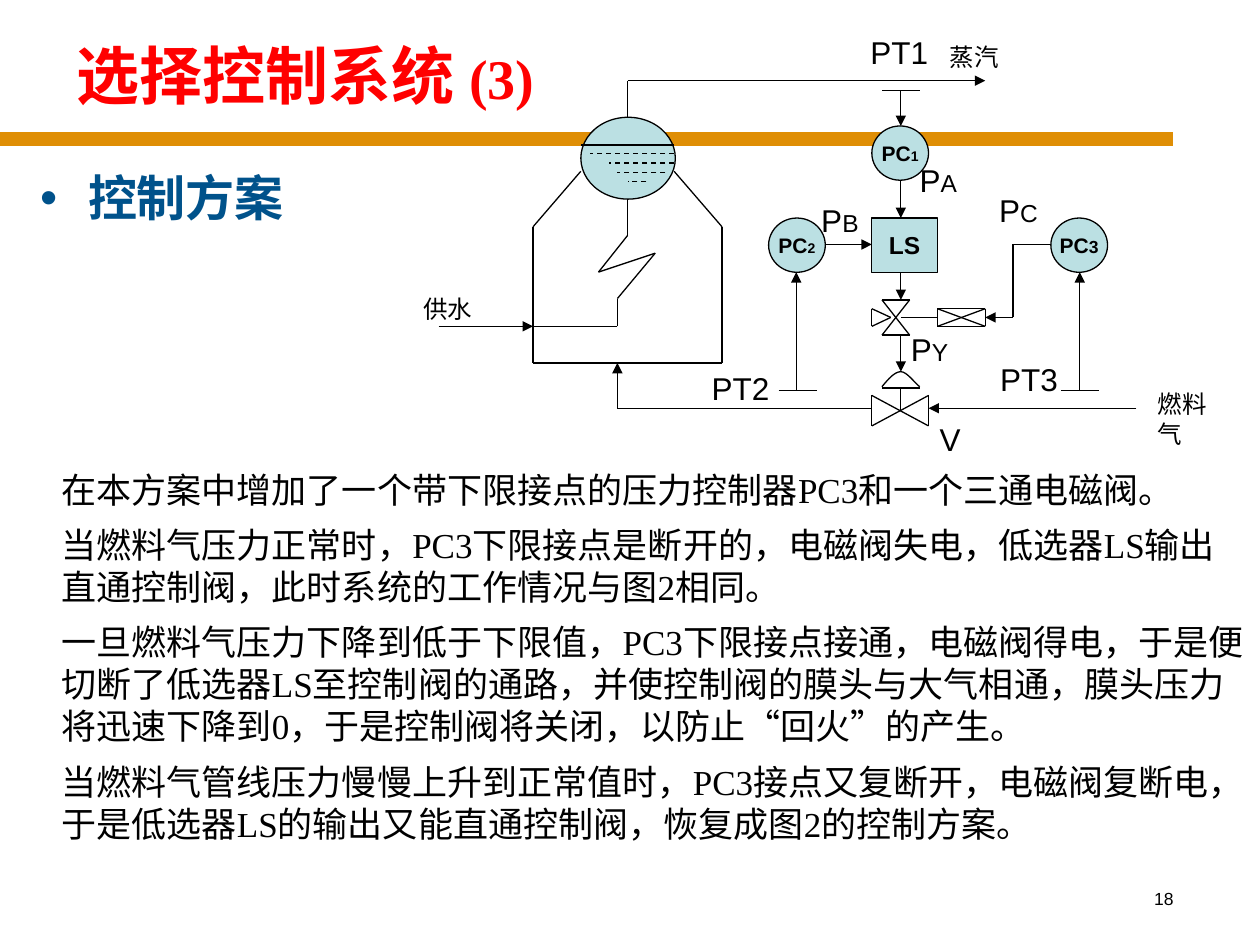
from itertools import pairwise

from lxml.etree import SubElement
from pptx import Presentation
from pptx.dml.color import RGBColor
from pptx.enum.dml import MSO_LINE
from pptx.enum.shapes import MSO_CONNECTOR, MSO_SHAPE
from pptx.enum.text import MSO_ANCHOR, MSO_AUTO_SIZE, PP_ALIGN
from pptx.oxml.ns import qn
from pptx.util import Pt

BLACK = RGBColor(0x00, 0x00, 0x00)
RED = RGBColor(0xFF, 0x00, 0x00)
NAVY = RGBColor(0x00, 0x52, 0x8B)
ORANGE = RGBColor(0xDF, 0x8E, 0x05)
AQUA = RGBColor(0xBB, 0xE0, 0xE3)

EXPLANATION = [
    "在本方案中增加了一个带下限接点的压力控制器PC3和一个三通电磁阀。",
    "当燃料气压力正常时，PC3下限接点是断开的，电磁阀失电，低选器LS输出直通控制阀，此时系统的工作情况与图2相同。",
    "一旦燃料气压力下降到低于下限值，PC3下限接点接通，电磁阀得电，于是便切断了低选器LS至控制阀的通路，"
    "并使控制阀的膜头与大气相通，膜头压力将迅速下降到0，于是控制阀将关闭，以防止“回火”的产生。",
    "当燃料气管线压力慢慢上升到正常值时，PC3接点又复断开，电磁阀复断电，于是低选器LS的输出又能直通控制阀，恢复成图2的控制方案。",
]


def style(font, size, color=BLACK, name="Arial", bold=False):
    """Set the look of a run or paragraph font."""
    font.size, font.name, font.bold = Pt(size), name, bold
    font.color.rgb = color


def add_spans(paragraph, spans, bold=False):
    """Write (text, size) spans into a paragraph."""
    style(paragraph.font, spans[0][1], bold=bold)
    for text, size in spans:
        span = paragraph.add_run()
        span.text = text
        if size != spans[0][1]:
            style(span.font, size, bold=bold)


def place(shape, box):
    """Move a shape to a box given in points."""
    shape.left, shape.top, shape.width, shape.height = (Pt(v) for v in box)


def add_label(page, box, spans, wrap=False):
    """Add a text box holding one line of spans."""
    label = page.shapes.add_textbox(*(Pt(v) for v in box))
    label.text_frame.word_wrap = wrap
    add_spans(label.text_frame.paragraphs[0], spans)
    return label


def add_path(page, origin, points, arrow=False, dashed=False, color=BLACK, width=0.75):
    """Join points by straight connectors, with an optional final arrowhead."""
    left, top = origin[:2]
    for (x1, y1), (x2, y2) in pairwise(points):
        line = page.shapes.add_connector(
            MSO_CONNECTOR.STRAIGHT, Pt(left + x1), Pt(top + y1), Pt(left + x2), Pt(top + y2))
        line.line.color.rgb, line.line.width = color, Pt(width)
        if dashed:
            line.line.dash_style = MSO_LINE.DASH
        if arrow and (x2, y2) == points[-1]:
            SubElement(line.line._get_or_add_ln(), qn("a:tailEnd"), type="triangle")
        SubElement(line._element.spPr, qn("a:effectLst"))


def add_block(page, kind, box, spans=()):
    """Add an outlined aqua shape with centred bold text."""
    shape = page.shapes.add_shape(kind, *(Pt(v) for v in box))
    shape.shadow.inherit = False
    shape.fill.solid()
    shape.fill.fore_color.rgb = AQUA
    shape.line.color.rgb, shape.line.width = BLACK, Pt(0.75)
    if spans:
        frame = shape.text_frame
        frame.word_wrap, frame.vertical_anchor = False, MSO_ANCHOR.MIDDLE
        frame.paragraphs[0].alignment = PP_ALIGN.CENTER
        add_spans(frame.paragraphs[0], spans, bold=True)


def add_heading(page, box):
    """Fill the title placeholder and draw the rule below it."""
    title = page.shapes.title
    place(title, box)
    frame = title.text_frame
    frame.auto_size, frame.vertical_anchor = MSO_AUTO_SIZE.NONE, MSO_ANCHOR.MIDDLE
    paragraph = frame.paragraphs[0]
    paragraph.alignment = PP_ALIGN.LEFT
    paragraph._p.get_or_add_pPr().set("marL", str(Pt(6.5)))
    for text, size, name in [("选择控制系统 ", 36, "Arial"), ("(3)", 32, "Times New Roman")]:
        span = paragraph.add_run()
        span.text = text
        style(span.font, size, RED, name, True)
    add_path(page, (0, 79.2), [(0, 0), (670.3, 0)], color=ORANGE, width=8)


def add_topic(page, box):
    """Fill the body placeholder with its bulleted topic."""
    body = page.placeholders[1]
    place(body, box)
    body.text_frame.auto_size = MSO_AUTO_SIZE.NONE
    paragraph = body.text_frame.paragraphs[0]
    paragraph.text = "控制方案"
    paragraph.space_before = Pt(0)
    properties = paragraph._p.get_or_add_pPr()
    properties.set("marL", str(Pt(34.5)))
    properties.set("indent", str(Pt(-27.4)))
    SubElement(SubElement(properties, qn("a:buClr")), qn("a:srgbClr"), val=str(NAVY))
    SubElement(properties, qn("a:buChar"), char="•")
    style(paragraph.font, 28, NAVY, bold=True)


def add_explanation(page, box):
    """Write the explanatory paragraphs."""
    frame = page.shapes.add_textbox(*(Pt(v) for v in box)).text_frame
    frame.word_wrap = True
    for index, text in enumerate(EXPLANATION):
        paragraph = frame.add_paragraph() if index else frame.paragraphs[0]
        paragraph.text = text
        paragraph.space_after = Pt(7.5)
        style(paragraph.font, 20, name="Times New Roman")


def add_boiler(page, box):
    """Draw the drum, furnace, coil and water level."""
    left, top = box[:2]
    add_block(page, MSO_SHAPE.OVAL, (left + 101.9, top + 57, 54, 46.8))
    add_path(page, box, [(155.2, 87.9), (182.6, 119.6), (182.6, 197.4),
                         (74.6, 197.4), (74.6, 119.6), (101.9, 87.9)])
    add_path(page, box, [(74.6, 176.5), (122.8, 176.5), (122.8, 160.6), (144.4, 134.7),
                         (112, 145.5), (128.6, 124.6), (128.6, 103.8)])
    add_path(page, box, [(155.2, 72.8), (101.9, 72.8)])
    levels = [(155.2, 107), (155.2, 117.8), (150.2, 122.8), (139.4, 128.6)]
    for row, (right, start) in enumerate(levels):
        y = 77.8 + 5.3 * row
        add_path(page, box, [(right, y), (start, y)], dashed=True)


def add_valves(page, box):
    """Draw the three-way valve, the contact and the control valve."""
    left, top = box[:2]
    add_path(page, box, [(274, 161.4), (289.8, 181.5), (274, 181.5), (289.8, 161.4), (274, 161.4)])
    add_path(page, box, [(279, 171.4), (268.2, 166.4), (268.2, 176.5), (279, 171.4)])
    add_path(page, box, [(333, 166.4), (305.7, 166.4), (305.7, 176.5), (333, 176.5),
                         (333, 166.4), (305.7, 176.5)])
    add_path(page, box, [(305.7, 166.4), (333, 176.5)])
    add_path(page, box, [(268.2, 216), (268.2, 233.4), (300.6, 216), (300.6, 233.4), (268.2, 216)])
    add_path(page, box, [(284.8, 224.7), (284.8, 211.8)])
    add_path(page, box, [(274, 211.8), (295.6, 211.8)])
    curves = [[(274, 211), (277.6, 206.7), (281.2, 202.4), (284.8, 202.4)],
              [(284.8, 202.4), (288.4, 202.4), (293.4, 209.6), (295.6, 211)]]
    dome = []
    for a, b, c, d in curves:
        for t in (step / 8 for step in range(9)):
            weights = ((1 - t) ** 3, 3 * t * (1 - t) ** 2, 3 * t * t * (1 - t), t ** 3)
            x, y = (sum(w * v for w, v in zip(weights, axis)) for axis in zip(a, b, c, d))
            dome.append((Pt(left + x), Pt(top + y)))
    builder = page.shapes.build_freeform(*dome[0])
    builder.add_line_segments(dome[1:], close=False)
    shape = builder.convert_to_shape()
    shape.shadow.inherit = False
    shape.fill.background()
    shape.line.color.rgb, shape.line.width = BLACK, Pt(0.75)


def add_diagram(page, box):
    """Draw the whole control scheme."""
    left, top = box[:2]
    add_boiler(page, box)
    add_valves(page, box)
    for x, y, number, size in [(268.2, 62, "1", 8), (209.2, 114.6, "2", 8), (370.5, 114.6, "3", 10)]:
        add_block(page, MSO_SHAPE.OVAL, (left + x, top + y, 32.4, 31), [("PC", 12), (number, size)])
    add_block(page, MSO_SHAPE.RECTANGLE, (left + 268.2, top + 114.6, 37.5, 31), [("LS", 14)])
    for x, y in [(274, 41.8), (215, 213.2), (376.2, 213.2)]:
        add_path(page, box, [(x, y), (x + 21.6, y)])
    add_path(page, box, [(305.7, 171.4), (284.8, 171.4)])
    flows = [
        [(128.6, 57), (128.6, 36.1), (333, 36.1)],
        [(20.6, 176.5), (74.6, 176.5)],
        [(268.2, 223.3), (122.8, 223.3), (122.8, 197.4)],
        [(419.4, 223.3), (300.6, 223.3)],
        [(225, 213.2), (225, 145.5)],
        [(387, 213.2), (387, 145.5)],
        [(241.6, 129.7), (268.2, 129.7)],
        [(370.5, 129.7), (348.9, 129.7), (348.9, 171.4), (333, 171.4)],
    ]
    flows += [[(284.8, start), (284.8, end)] for start, end in
              [(41.8, 62), (93.7, 114.6), (145.5, 161.4), (181.5, 202.4)]]
    for flow in flows:
        add_path(page, box, flow, arrow=True)
    for text, x, y, width in [("蒸汽", 305.7, 10.2, 42.5), ("燃料气", 424.5, 208.9, 56.2), ("供水", 4.7, 154.2, 42.5)]:
        add_label(page, (left + x, top + y, width, 24.5), [(text, 14)])
    for text, x, y in [("PT1", 260.3, 5.1), ("PT2", 169.6, 197.4), ("PT3", 334.5, 192.3), ("V", 299.9, 226.2)]:
        add_label(page, (left + x, top + y, 47.5, 28.8), [(text, 18)])
    for suffix, x, y in [("A", 288.4, 78.6), ("B", 232.2, 101.6), ("C", 333.8, 95.8), ("Y", 283.4, 175)]:
        add_label(page, (left + x, top + y, 54, 28.8), [("P", 18), (suffix, 14)], wrap=True)


def main():
    """Build and save the slide."""
    deck = Presentation()
    deck.slide_width, deck.slide_height = Pt(720), Pt(540)
    page = deck.slides.add_slide(deck.slide_layouts[1])
    add_heading(page, (30.2, 12.2, 648, 60.5))
    add_topic(page, (8.6, 92.2, 630.7, 370.8))
    add_explanation(page, (28.1, 264.2, 691.9, 221.8))
    add_diagram(page, (230, 10, 490, 255))
    number = add_label(page, (527.8, 504, 149.8, 36), [("18", 10)], wrap=True)
    number.text_frame.paragraphs[0].alignment = PP_ALIGN.RIGHT
    deck.save("out.pptx")


if __name__ == "__main__":
    main()
